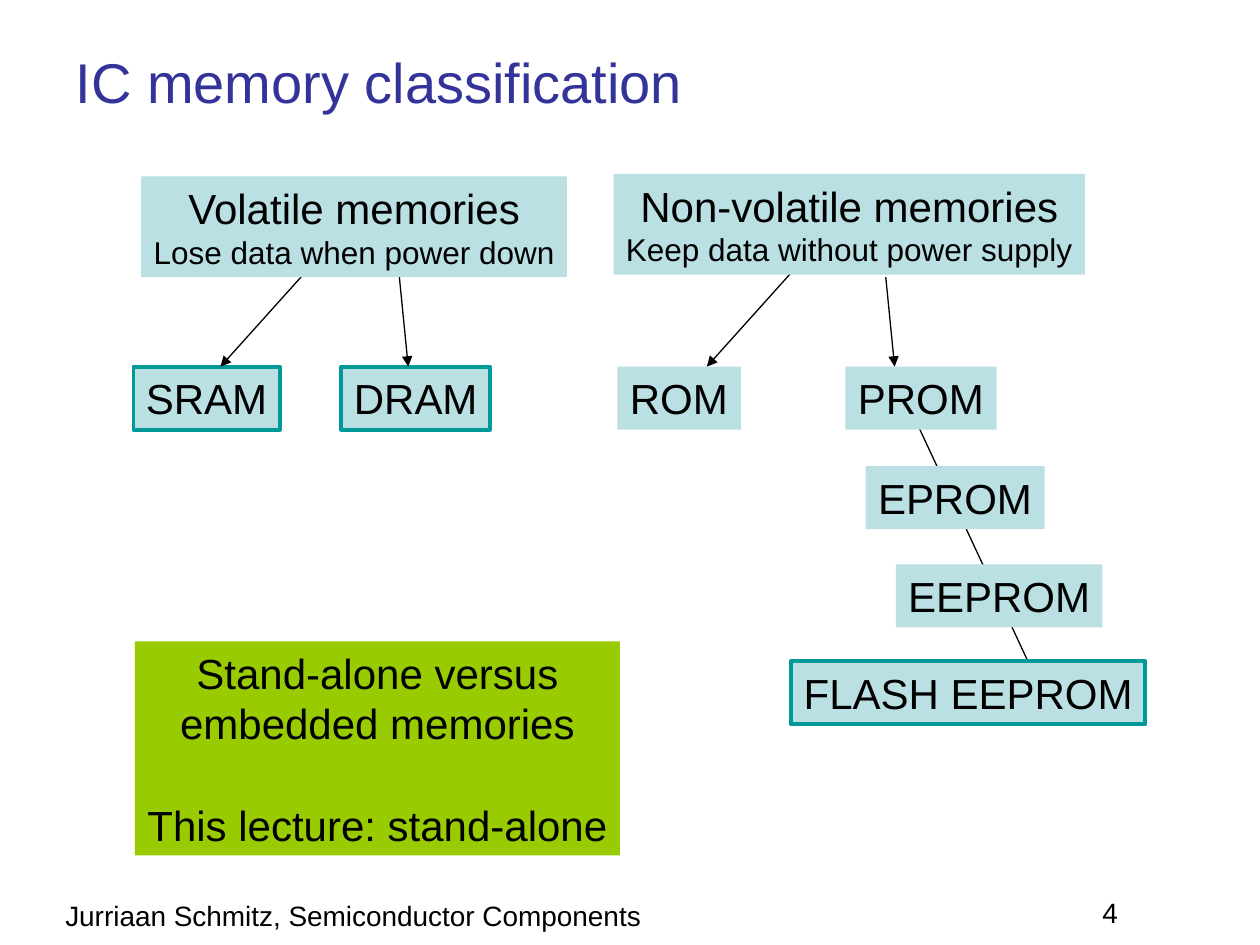
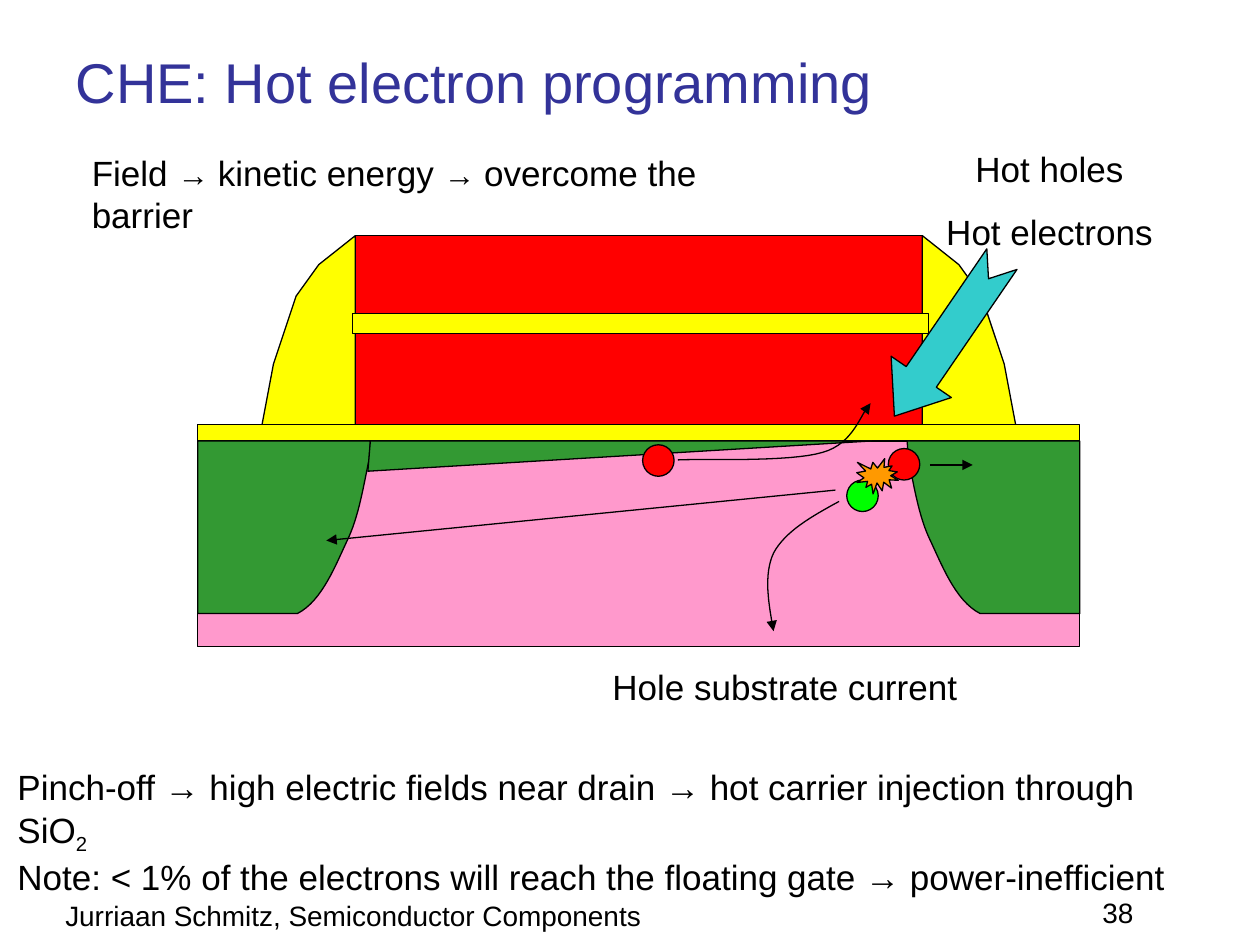
from pptx import Presentation, util as u
from pptx.dml.color import RGBColor
from pptx.enum import shapes as sh, text as tx
from pptx.oxml import parse_xml
from pptx.oxml.ns import nsdecls, qn

BLACK, NAVY, TEAL, PALE = "000000", "333399", "009999", "BBE0E3"
RED, YELLOW, GREEN, PINK = "FF0000", "FFFF00", "339933", "FF99CC"
FOOT = "Jurriaan Schmitz, Semiconductor Components"
KIND, LEFT, MID = sh.MSO_SHAPE, tx.PP_ALIGN.LEFT, tx.PP_ALIGN.CENTER
THIN = 0.74
AXIS = 5.07


def color(code):
    """Turn a hex string into a colour."""
    return RGBColor.from_string(code)


def emu(*nums):
    """Turn inches into whole lengths."""
    return [u.Inches(n) for n in nums]


def write(shape, paras, size=24, align=LEFT, wrap=True, ink=BLACK,
          anchor=tx.MSO_ANCHOR.TOP, gap=0):
    """Fill a shape with paragraphs of (text, size, baseline) runs."""
    frame = shape.text_frame
    frame.auto_size = tx.MSO_AUTO_SIZE.NONE
    frame.word_wrap = wrap
    frame.vertical_anchor = anchor
    frame.margin_left = frame.margin_right = u.Inches(0.1)
    frame.margin_top = frame.margin_bottom = u.Inches(0.05)
    for i, runs in enumerate(paras):
        para = frame.paragraphs[0] if i == 0 else frame.add_paragraph()
        para.alignment = align
        para.space_before = para.space_after = u.Pt(gap)
        for item in [runs] if isinstance(runs, str) else runs:
            words, points, base = (item, size, 0) if isinstance(item, str) else item
            if words == "\n":
                para.add_line_break()
                continue
            run = para.add_run()
            run.text = words
            run.font.name, run.font.size = "Arial", u.Pt(points)
            run.font.color.rgb = color(ink)
            if base:
                run.font._element.set("baseline", str(base * 1000))
    return frame


def style(shape, fill=None, line=BLACK, width=THIN):
    """Set fill and outline and drop the shadow."""
    shape.shadow.inherit = False
    if fill:
        shape.fill.solid()
        shape.fill.fore_color.rgb = color(fill)
    else:
        shape.fill.background()
    if line:
        shape.line.color.rgb = color(line)
        shape.line.width = u.Pt(width)
    else:
        shape.line.fill.background()
    return shape


def form(slide, kind, area, fill, line=BLACK, width=THIN):
    """Add a preset shape."""
    return style(slide.shapes.add_shape(kind, *emu(*area)), fill, line, width)


def label(slide, area, paras, **look):
    """Add a text box."""
    return write(slide.shapes.add_textbox(*emu(*area)), paras, **look)


def head(shape):
    """Put an arrowhead at the end of a line."""
    ln = shape._element.spPr.find(qn("a:ln"))
    ln.append(parse_xml('<a:tailEnd %s type="triangle"/>' % nsdecls("a")))


def link(slide, start, end, arrow=True):
    """Add a straight line, with or without arrowhead."""
    line = slide.shapes.add_connector(sh.MSO_CONNECTOR.STRAIGHT, *emu(*start, *end))
    line.line.color.rgb = color(BLACK)
    line.line.width = u.Pt(THIN)
    if arrow:
        head(line)
    line._element.spPr.append(parse_xml("<a:effectLst %s/>" % nsdecls("a")))


def trace(steps, parts=16):
    """Turn points and cubic curve steps into a list of points."""
    dots = [steps[0]]
    for step in steps[1:]:
        if len(step) == 2:
            dots.append(step)
            continue
        ends = [dots[-1], step[:2], step[2:4], step[4:]]
        for i in range(1, parts + 1):
            t = i / parts
            rates = [(1 - t) ** 3, 3 * t * (1 - t) ** 2, 3 * t * t * (1 - t), t ** 3]
            dots.append(tuple(sum(r * p[k] for r, p in zip(rates, ends))
                              for k in (0, 1)))
    return dots


def draw(slide, dots, fill=None):
    """Draw a closed filled outline, or an open curved arrow."""
    first, *rest = [tuple(emu(*dot)) for dot in dots]
    pen = slide.shapes.build_freeform(*first, scale=1.0)
    pen.add_line_segments(rest, close=bool(fill))
    shape = style(pen.convert_to_shape(), fill)
    if not fill:
        head(shape)


def twins(slide, steps, fill):
    """Draw an outline and its mirror image about the device axis."""
    dots = trace(steps)
    draw(slide, dots, fill)
    draw(slide, [(2 * AXIS - x, y) for x, y in dots], fill)


def start(deck, title, page):
    """Add a slide with title, footer and page number."""
    slide = deck.slides.add_slide(deck.slide_layouts[5])
    label(slide, (0.42, 7.08, 4.77, 0.37), [FOOT], size=16)
    label(slide, (8.65, 7.06, 1.21, 0.37), [page], size=16)
    name = slide.shapes.title
    name.left, name.top, name.width, name.height = emu(0.5, 0.3, 9, 0.69)
    write(name, [title], size=32, ink=NAVY, anchor=tx.MSO_ANCHOR.MIDDLE)
    return slide


def tree(deck):
    """Build the memory classification slide."""
    slide = start(deck, "IC memory classification", "4")
    link(slide, (7.18, 3.15), (8.28, 5.51), arrow=False)
    for name, x, y, wide, edge in [
            ("SRAM", 1.06, 2.91, 1.16, TEAL), ("DRAM", 2.71, 2.91, 1.18, TEAL),
            ("ROM", 4.9, 2.91, 0.98, None), ("PROM", 6.71, 2.91, 1.2, None),
            ("EPROM", 6.87, 3.7, 1.42, None), ("EEPROM", 7.11, 4.48, 1.64, None),
            ("FLASH EEPROM", 6.28, 5.25, 2.81, TEAL)]:
        box = form(slide, KIND.RECTANGLE, (x, y, wide, 0.5), PALE, edge, 2.24)
        write(box, [name], wrap=False)
    for x in (1.75, 5.61):
        link(slide, (x + 0.71, 2.12), (x, 2.91))
        link(slide, (x + 1.42, 2.2), (x + 1.49, 2.91))
    for area, name, note in [
            ((1.12, 1.4, 3.38, 0.8), "Volatile memories", "Lose data when power down"),
            ((4.87, 1.38, 3.74, 0.8), "Non-volatile memories",
             "Keep data without power supply")]:
        box = form(slide, KIND.RECTANGLE, area, PALE, None)
        write(box, [name, [(note, 18, 0)]], align=MID, wrap=False)
    box = form(slide, KIND.RECTANGLE, (1.07, 5.09, 3.85, 1.7), "99CC00", None)
    frame = write(box, [["Stand-alone versus", "\n", "embedded memories"],
                        "This lecture: stand-alone"], align=MID, wrap=False)
    frame.paragraphs[1].space_before = u.Pt(29)


def device(slide):
    """Draw the transistor cross-section."""
    form(slide, KIND.RECTANGLE, (1.57, 3.5, 7, 1.63), PINK)
    form(slide, KIND.RECTANGLE, (2.82, 1.87, 4.5, 1.54), RED)
    twins(slide, [(2.07, 3.42), (2.17, 2.89), (2.33, 2.41), (2.35, 2.35),
                  (2.53, 2.1), (2.82, 1.87), (2.82, 3.42)], YELLOW)
    form(slide, KIND.RECTANGLE, (1.57, 3.37, 7, 0.13), YELLOW)
    twins(slide, [(1.57, 3.5), (1.57, 4.87), (2.36, 4.87),
                  (2.56, 4.77, 2.67, 4.47, 2.77, 4.26),
                  (2.86, 4.06, 2.9, 3.77, 2.93, 3.65), (2.94, 3.5)], GREEN)
    draw(slide, [(2.94, 3.5), (2.92, 3.74), (6.92, 3.5)], GREEN)
    form(slide, KIND.RECTANGLE, (2.8, 2.49, 4.57, 0.16), YELLOW)


def flow(slide):
    """Draw the carriers and their paths."""
    for x, y, fill in [(5.1, 3.53, RED), (7.05, 3.56, RED), (6.72, 3.81, "00FF00")]:
        form(slide, KIND.OVAL, (x, y, 0.25, 0.25), fill)
    link(slide, (7.38, 3.69), (7.72, 3.69))
    draw(slide, trace([(6.66, 3.98), (6.44, 4.1, 6.23, 4.22, 6.14, 4.39),
                       (6.06, 4.56, 6.1, 4.79, 6.14, 5.01)]))
    form(slide, KIND.EXPLOSION1, (6.8, 3.64, 0.33, 0.28), "FF9900")
    link(slide, (6.63, 3.89), (2.59, 4.29))
    draw(slide, trace([(5.38, 3.65), (5.57, 3.64, 6.27, 3.67, 6.53, 3.59),
                       (6.78, 3.52, 6.83, 3.28, 6.91, 3.2)]))
    arrow = form(slide, KIND.NOTCHED_RIGHT_ARROW, (6.77, 2.39, 1.51, 0.58), "33CCCC")
    arrow.rotation = 124.4
    arrow.adjustments[0], arrow.adjustments[1] = 0.5, 0.65


def hot(deck):
    """Build the hot electron slide."""
    slide = start(deck, "CHE: Hot electron programming", "38")
    device(slide)
    flow(slide)
    label(slide, (0.04, 6.03, 9.6, 0.82), [
        ["Pinch-off → high electric fields near drain → hot carrier injection "
         "through SiO", ("2", 20, -25)],
        "Note: < 1% of the electrons will reach the floating gate → power-inefficient"],
        size=20)
    look = dict(size=20, align=MID, wrap=False, anchor=tx.MSO_ANCHOR.MIDDLE, gap=6)
    label(slide, (7.41, 1.12, 1.84, 0.94), ["Hot holes", "Hot electrons"], **look)
    label(slide, (4.76, 5.23, 2.94, 0.44), ["Hole substrate current"], **look)
    arrow = ("→ ", 18, 0)
    label(slide, (0.63, 1.15, 5.79, 0.44), [
        ["Field ", arrow, "kinetic energy ", arrow, "overcome the barrier"]], size=20)


def main():
    """Build and save the deck."""
    deck = Presentation()
    deck.slide_width, deck.slide_height = emu(10, 7.5)
    tree(deck)
    hot(deck)
    deck.save("out.pptx")


main()
